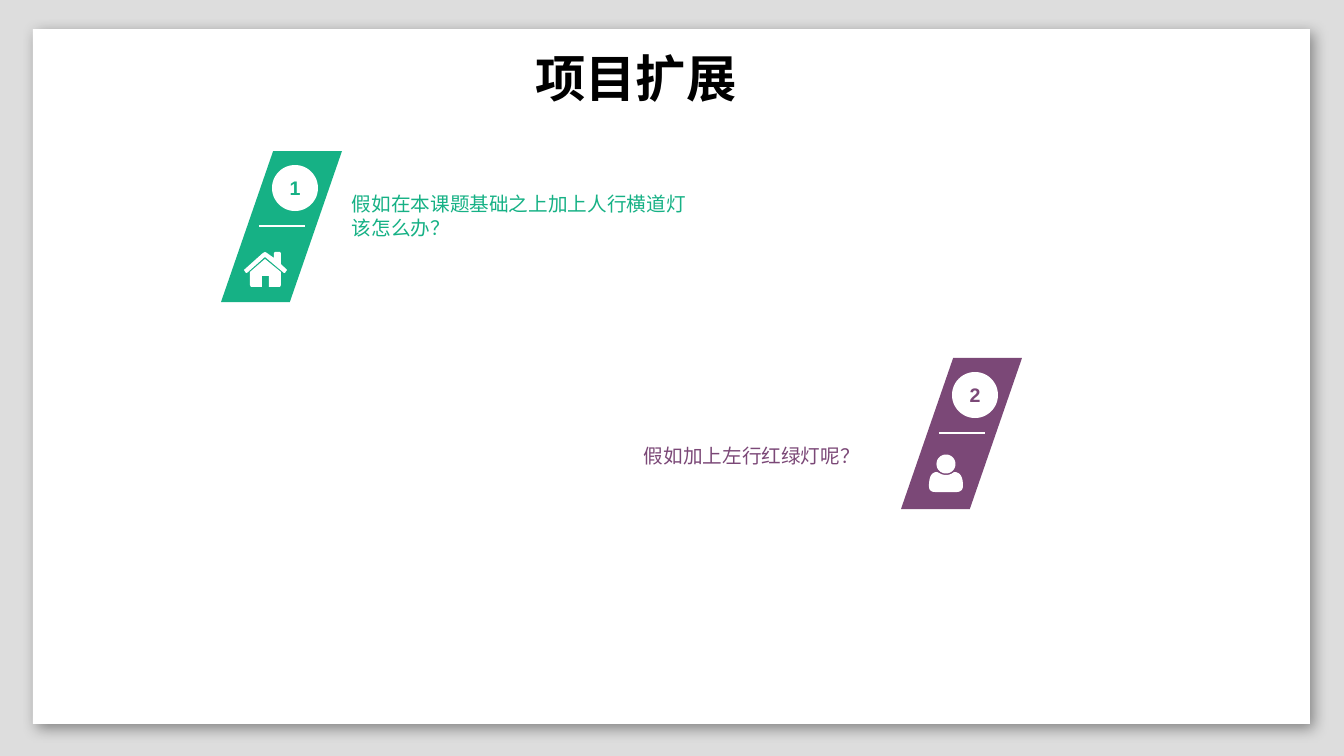
from math import cos, pi, sin

from lxml import etree
from pptx import Presentation
from pptx.dml.color import RGBColor
from pptx.enum.shapes import MSO_CONNECTOR, MSO_SHAPE as SHAPE
from pptx.enum.text import MSO_ANCHOR as ANCHOR, MSO_AUTO_SIZE as FIT, PP_ALIGN as ALIGN
from pptx.oxml import parse_xml
from pptx.oxml.ns import nsdecls, qn
from pptx.util import Emu, Pt

PX = 914400 / 100.8
COLORS = {"backdrop": "DDDDDD", "white": "FFFFFF", "black": "000000",
          "green": "16B185", "purple": "7B4877"}
LATIN, CJK = "Arial", "Noto Sans CJK JP"


def bezier(start, *curves, steps=10):
    """Points along joined cubic curves, each given as two controls and an end."""
    points = [start]
    for curve in curves:
        weighted = list(zip((1, 3, 3, 1), (points[-1], *curve)))
        for step in range(1, steps + 1):
            t = step / steps
            points.append(tuple(
                sum(w * p[axis] * (1 - t) ** (3 - i) * t ** i
                    for i, (w, p) in enumerate(weighted))
                for axis in (0, 1)))
    return points


def circle(x, y, radius, steps=48):
    angles = [2 * pi * step / steps for step in range(steps)]
    return [(x + radius * cos(a), y + radius * sin(a)) for a in angles]


HOUSE = [
    [(41, 21), (40, 21), (21, 5), (3, 21), (2, 21), (0, 18), (19, 1), (21, 0), (23, 1),
     (30, 6), (30, 1), (31, 0), (36, 0), (37, 1), (37, 12), (43, 18)],
    [(37, 33), (36, 35), (25, 35), (25, 24), (18, 24), (18, 35), (7, 35), (6, 33),
     (6, 20), (21, 7), (37, 20)],
]
PERSON = [
    circle(17, 10, 9.5),
    bezier((6, 38), ((2, 38), (0, 36), (0, 32)), ((0, 26), (1, 18), (8, 18)),
           ((9, 18), (12, 21), (17, 21)), ((22, 21), (25, 18), (25, 18)),
           ((33, 18), (34, 26), (34, 32)), ((34, 36), (31, 38), (28, 38))),
]

TITLE = "项目扩展"
CARDS = [
    {"number": "1", "color": "green", "at": (221, 151), "icon": HOUSE, "icon_at": (23, 101),
     "lines": ["假如在本课题基础之上加上人行横道灯", "该怎么办？"],
     "text_box": (342, 187, 396, 115), "align": ALIGN.LEFT},
    {"number": "2", "color": "purple", "at": (901, 358), "icon": PERSON, "icon_at": (28, 96),
     "lines": ["假如加上左行红绿灯呢？"],
     "text_box": (617, 439, 253, 54), "align": ALIGN.RIGHT},
]


def px(*lengths):
    return [Emu(round(length * PX)) for length in lengths]


def rgb(name):
    return RGBColor.from_string(COLORS[name])


def paint(shape, color):
    shape.shadow.inherit = False
    shape.fill.solid()
    shape.fill.fore_color.rgb = rgb(color)
    shape.line.fill.background()
    return shape


def write(shape, lines, color, size, align, bold=False, latin=LATIN, **frame_format):
    frame = shape.text_frame
    for name, value in {"word_wrap": False, **frame_format}.items():
        setattr(frame, name, value)
    frame.text = "\n".join(lines)
    for paragraph in frame.paragraphs:
        paragraph.alignment = align
        for run in paragraph.runs:
            font = run.font
            for name, value in {"size": Pt(size), "bold": bold, "name": latin}.items():
                setattr(font, name, value)
            font.color.rgb = rgb(color)
            east_asian = etree.SubElement(run._r.get_or_add_rPr(), qn("a:ea"))
            east_asian.set("typeface", CJK)


def add_sheet(slide):
    """White page with a soft shadow, behind everything else."""
    sheet = paint(slide.shapes.add_shape(SHAPE.RECTANGLE, *px(33, 29, 1277, 695)), "white")
    tree = slide.shapes._spTree
    tree.remove(sheet._element)
    tree.insert(2, sheet._element)
    properties = sheet._element.spPr
    properties.remove(properties.find(qn("a:effectLst")))
    properties.append(parse_xml(
        f'<a:effectLst {nsdecls("a")}><a:outerShdw blurRad="{Pt(10)}" dist="{Pt(5)}" '
        f'dir="{45 * 60000}" algn="tl" rotWithShape="0"><a:srgbClr val="{COLORS["black"]}">'
        '<a:alpha val="40000"/></a:srgbClr></a:outerShdw></a:effectLst>'))


def add_icon(shapes, outlines, left, top):
    def place(points):
        return [((left + x) * PX, (top + y) * PX) for x, y in points]

    first, *others = map(place, outlines)
    builder = shapes.build_freeform(*first[0], scale=1.0)
    builder.add_line_segments(first[1:], close=True)
    for outline in others:
        builder.move_to(*outline[0])
        builder.add_line_segments(outline[1:], close=True)
    paint(builder.convert_to_shape(), "white")


def add_card(slide, card):
    shapes = slide.shapes.add_group_shape().shapes
    left, top = card["at"]
    color = card["color"]

    banner = shapes.add_shape(SHAPE.PARALLELOGRAM, *px(left, top, 121, 151))
    banner.adjustments[0] = 0.431
    paint(banner, color)

    rule_y = top + 75
    rule = shapes.add_connector(MSO_CONNECTOR.STRAIGHT,
                                *px(left + 38, rule_y, left + 84, rule_y))
    rule.line.color.rgb = rgb("white")
    rule.line.width = Pt(1)
    etree.SubElement(rule._element.spPr, qn("a:effectLst"))

    badge = paint(shapes.add_shape(SHAPE.OVAL, *px(left + 51, top + 14, 46, 46)), "white")
    write(badge, [card["number"]], color, 14, ALIGN.CENTER, bold=True,
          vertical_anchor=ANCHOR.MIDDLE)

    icon_x, icon_y = card["icon_at"]
    add_icon(shapes, card["icon"], left + icon_x, top + icon_y)

    question = shapes.add_textbox(*px(*card["text_box"]))
    write(question, card["lines"], color, 14, card["align"])


def main():
    deck = Presentation()
    deck.slide_width, deck.slide_height = px(1344, 756)
    slide = deck.slides.add_slide(deck.slide_layouts[5])
    slide.background.fill.solid()
    slide.background.fill.fore_color.rgb = rgb("backdrop")
    add_sheet(slide)

    title = slide.shapes.title
    title.left, title.top, title.width, title.height = px(525, 42, 225, 72)
    write(title, [TITLE], "black", 36, ALIGN.LEFT, bold=True, latin=CJK,
          vertical_anchor=ANCHOR.TOP, auto_size=FIT.SHAPE_TO_FIT_TEXT)

    for card in CARDS:
        add_card(slide, card)
    deck.save("out.pptx")


if __name__ == "__main__":
    main()
